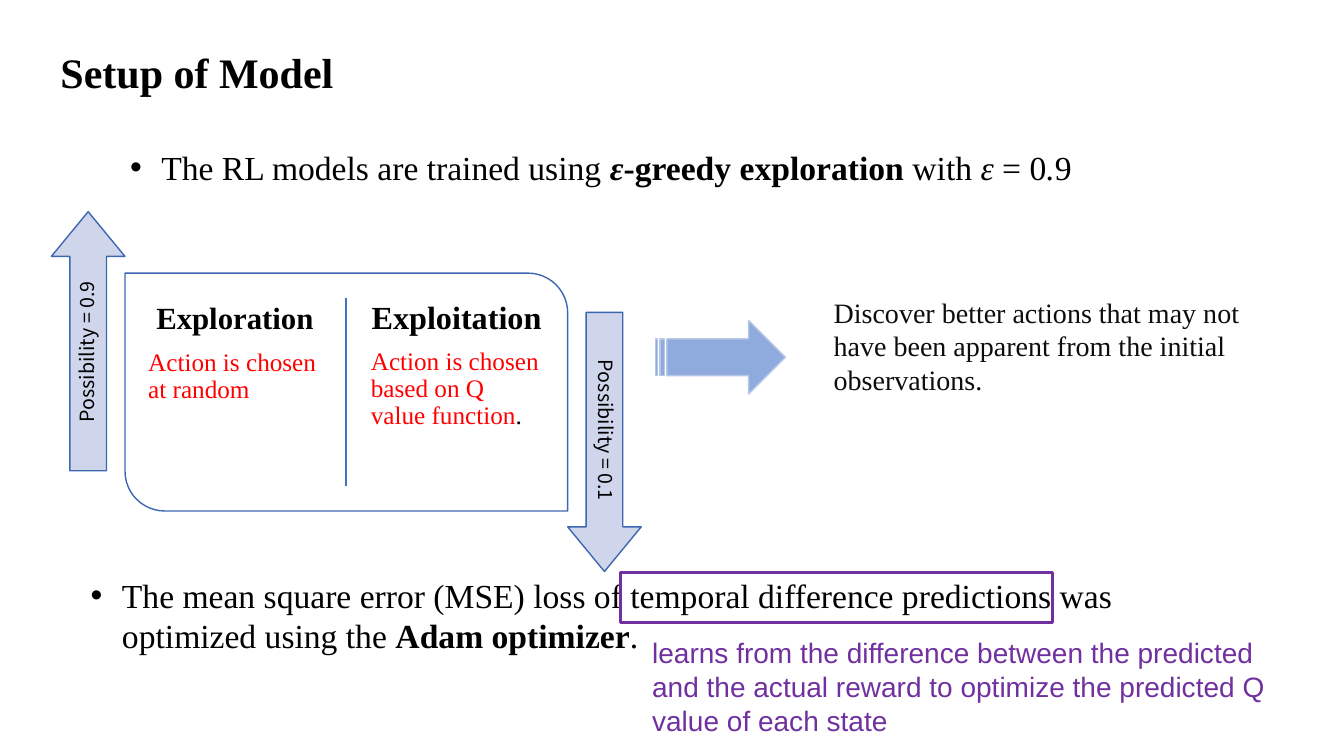
from pptx import Presentation, util as u
from pptx.dml.color import RGBColor
from pptx.enum import shapes, text
from pptx.oxml.ns import qn
from lxml import etree

PX = 9144  # EMU per px, 100 px to the inch
SERIF, SANS, CJK = "Times New Roman", "Arial", "Noto Sans CJK SC"
COLORS = {
    "black": "000000", "ink": "0D0D0D", "white": "FFFFFF", "red": "FF0000",
    "purple": "7030A0", "edge": "3E67B2", "divider": "4472C4",
    "pale": "CFD5EA", "arrow": "8FAADC", "arrow_edge": "B4C7E7",
}
MSO = shapes.MSO_SHAPE


def color(name):
    return RGBColor.from_string(COLORS[name])


def px(*lengths):
    return [u.Emu(n * PX) for n in lengths]


def write(p, parts, size, font=SERIF, ink="black"):
    """Fill a paragraph from (text, style) pairs; style may hold b, i and a colour after ':'."""
    for words, style in parts:
        flags, _, own_ink = style.partition(":")
        r = p.add_run()
        r.text = words
        r.font.size, r.font.name = u.Pt(size), font
        r.font.bold, r.font.italic = "b" in flags, "i" in flags
        r.font.color.rgb = color(own_ink or ink)


def set_frame(tf, inset=None, anchor=text.MSO_ANCHOR.TOP):
    tf.word_wrap = True
    tf.auto_size = text.MSO_AUTO_SIZE.NONE
    tf.vertical_anchor = anchor
    if inset is not None:
        tf.margin_left = tf.margin_right = tf.margin_top = tf.margin_bottom = px(inset)[0]


def add_text(s, box, **frame):
    tf = s.shapes.add_textbox(*px(*box)).text_frame
    set_frame(tf, **frame)
    return tf


def add_shape(s, kind, box, fill, line, width=1, adjust=()):
    sp = s.shapes.add_shape(kind, *px(*box))
    sp.shadow.inherit = False
    for n, value in enumerate(adjust):
        sp.adjustments[n] = value
    if fill:
        sp.fill.solid()
        sp.fill.fore_color.rgb = color(fill)
    else:
        sp.fill.background()
    sp.line.color.rgb = color(line)
    sp.line.width = u.Pt(width)
    return sp


def place(ph, box):
    ph.left, ph.top, ph.width, ph.height = px(*box)


def title(s, box, words):
    place(s.shapes.title, box)
    tf = s.shapes.title.text_frame
    set_frame(tf, anchor=text.MSO_ANCHOR.MIDDLE)
    p = tf.paragraphs[0]
    p.alignment, p.line_spacing = text.PP_ALIGN.LEFT, 0.9
    write(p, [(words, "b")], 30)


def bullet(ph, box, parts):
    place(ph, box)
    set_frame(ph.text_frame)
    p = ph.text_frame.paragraphs[0]
    p.space_before = u.Pt(0)
    write(p, parts, 24)
    pPr = p._p.get_or_add_pPr()
    indent = 31 * PX
    pPr.set("marL", str(indent))
    pPr.set("indent", str(-indent))
    etree.SubElement(pPr, qn("a:buFont")).set("typeface", SANS)
    etree.SubElement(pPr, qn("a:buChar")).set("char", "•")


def strategy(s, box, heading, size, parts, inset):
    tf = add_text(s, box, inset=inset)
    p, body = tf.paragraphs[0], tf.add_paragraph()
    p.alignment = text.PP_ALIGN.CENTER
    p.space_after = u.Pt(9)
    p.line_spacing = body.line_spacing = 0.9
    write(p, [(heading, "b")], size)
    write(body, parts, 18)


def strategy_card(s, x, y, w, h):
    add_shape(s, MSO.ROUND_2_DIAG_RECTANGLE, (x, y, w, h), "white", "edge", adjust=(0, 0.167))
    mid = x + w // 2
    ln = s.shapes.add_connector(shapes.MSO_CONNECTOR.STRAIGHT, *px(mid, y + 25, mid, y + 211))
    ln.line.color.rgb = color("divider")
    ln.line.width = u.Pt(1)
    etree.SubElement(ln._element.spPr, qn("a:effectLst"))
    strategy(s, (x + 14, y + 21, 190, 160), "Exploration", 22,
             [("Action is chosen at random", ":red")], 9)
    strategy(s, (x + 234, y + 18, 190, 200), "Exploitation", 23,
             [("Action is chosen based on Q value function", ":red"), (".", "")], 10)


def possibility_arrow(s, box, label_box, turn, words):
    arrow = add_shape(s, MSO.RIGHT_ARROW, box, "pale", "edge", adjust=(0.498, 0.607))
    tf = add_text(s, label_box, inset=6, anchor=text.MSO_ANCHOR.MIDDLE)
    p = tf.paragraphs[0]
    p.alignment, p.line_spacing = text.PP_ALIGN.CENTER, 0.9
    write(p, [(words, "")], 14, CJK)
    arrow.rotation = s.shapes[-1].rotation = turn


def note(s, box, words, font, ink):
    write(add_text(s, box).paragraphs[0], [(words, "")], 20, font, ink)


def main():
    prs = Presentation()
    prs.slide_width, prs.slide_height = px(1333, 750)
    s = prs.slides.add_slide(prs.slide_layouts.get_by_name("Two Content"))
    training, loss = s.placeholders[1], s.placeholders[2]

    title(s, (50, 45, 371, 58), "Setup of Model")
    bullet(training, (119, 141, 1000, 91), [
        ("The RL models are trained using ", ""), ("ε", "bi"),
        ("-greedy exploration ", "b"), ("with ", ""), ("ε ", "i"),
        ("= 0", ""), (".", "i"), ("9", "")])
    bullet(loss, (80, 565, 1092, 131), [
        ("The mean square error (MSE) loss of temporal difference predictions "
         "was optimized using the ", ""), ("Adam optimizer", "b"), (".", "")])

    strategy_card(s, 124, 271, 439, 236)
    possibility_arrow(s, (-41, 302, 257, 73), (-30, 331, 235, 36), 270, "Possibility = 0.9")
    possibility_arrow(s, (471, 402, 257, 73), (482, 409, 235, 36), 90, "Possibility = 0.1")

    add_shape(s, MSO.STRIPED_RIGHT_ARROW, (650, 318, 129, 73), "arrow", "arrow_edge")
    note(s, (817, 288, 454, 111), "Discover better actions that may not have been "
         "apparent from the initial observations.", SERIF, "ink")
    add_shape(s, MSO.RECTANGLE, (615, 568, 429, 50), None, "purple", 2.25)
    note(s, (637, 626, 667, 111), "learns from the difference between the predicted and the "
         "actual reward to optimize the predicted Q value of each state", SANS, "purple")
    prs.save("out.pptx")


if __name__ == "__main__":
    main()
